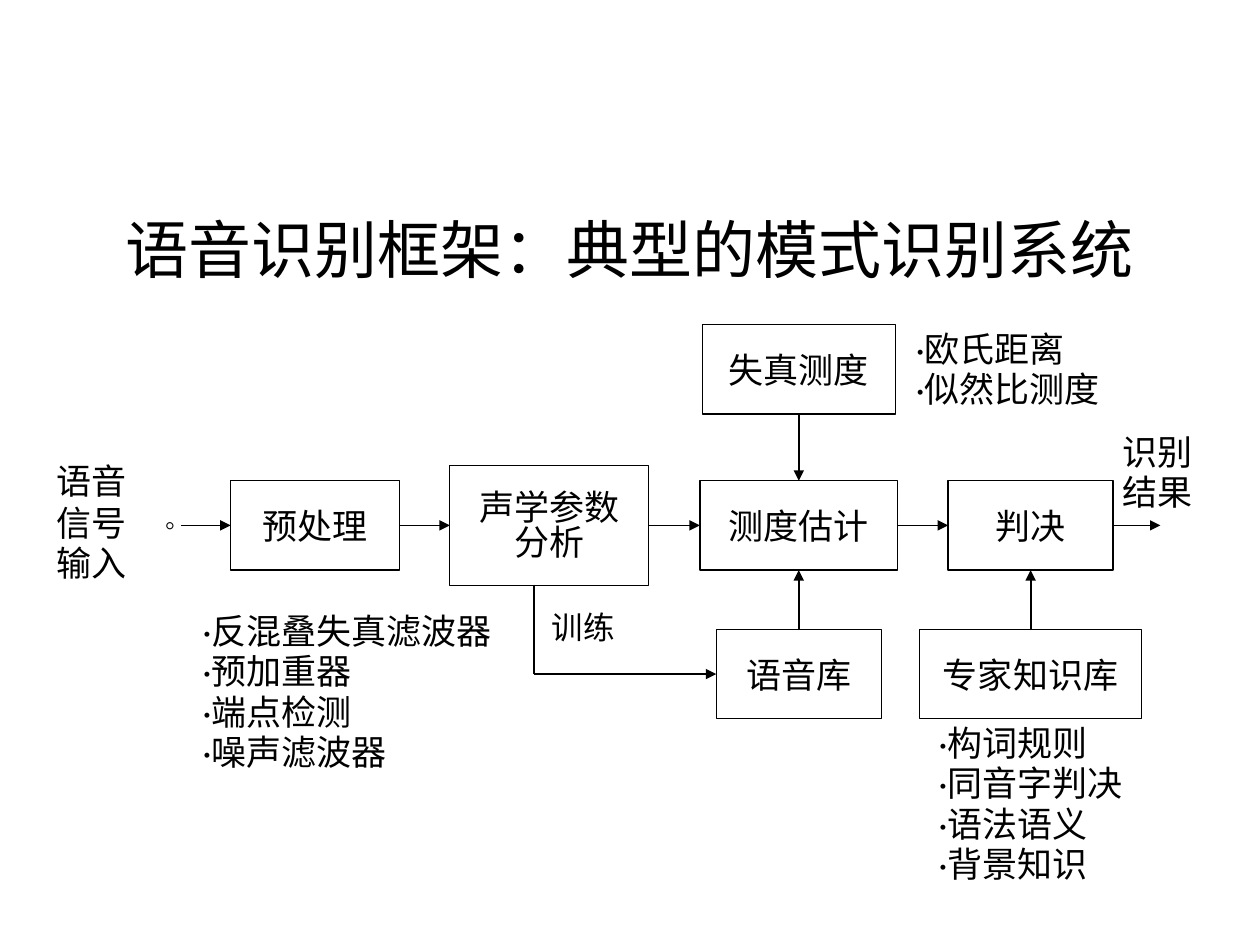
import pptx
import pptx.dml.color
import pptx.enum.shapes
import pptx.enum.text
import pptx.oxml
import pptx.oxml.ns
import pptx.util
from pptx.util import Inches

BLACK = pptx.dml.color.RGBColor(0, 0, 0)
FONT = "Calibri"
ALIGN = pptx.enum.text.PP_ALIGN
ANCHOR = pptx.enum.text.MSO_ANCHOR
TOP, LEFT, BOTTOM, RIGHT = range(4)

# Centres shared by the boxes of a row or column
MAIN_ROW, MEASURE_ROW, STORE_ROW = 4.17, 2.93, 5.35
MEASURE_COLUMN, DECISION_COLUMN = 6.34, 8.18

# name: (lines, centre x, centre y, width, height, line spacings)
BOXES = {
    "preprocess": (["预处理"], 2.5, MAIN_ROW, 1.34, 0.71, [1]),
    "analysis": (["声学参数", "分析"], 4.36, MAIN_ROW, 1.58, 0.95, [0.96, 0.8]),
    "estimate": (["测度估计"], MEASURE_COLUMN, MAIN_ROW, 1.57, 0.71, [1]),
    "distortion": (["失真测度"], MEASURE_COLUMN, MEASURE_ROW, 1.53, 0.71, [1]),
    "speech store": (["语音库"], MEASURE_COLUMN, STORE_ROW, 1.31, 0.71, [1]),
    "decision": (["判决"], DECISION_COLUMN, MAIN_ROW, 1.31, 0.71, [1]),
    "expert store": (["专家知识库"], DECISION_COLUMN, STORE_ROW, 1.76, 0.71, [1]),
}

# (lines, left, top, width, height, size, line spacings)
LABELS = [
    (["·构词规则", "·同音字判决", "·语法语义", "·背景知识"],
     7.35, 5.7, 2.22, 1.52, 20, [0.96] * 4),
    (["·反混叠失真滤波器", "·预加重器", "·端点检测", "·噪声滤波器"],
     1.51, 4.81, 2.8, 1.52, 20, [0.96] * 4),
    (["·欧氏距离", "·似然比测度"], 7.17, 2.57, 2.03, 0.81, 20, [0.96] * 2),
    (["训练"], 4.28, 4.78, 1.01, 0.68, 18, [1]),
    (["识别", "结果"], 8.81, 3.37, 0.93, 0.85, 20, [1, 0.96]),
    (["○"], 1.22, 4.05, 0.45, 0.45, 8, [1]),
    (["语音", "信号", "输入"], 0.35, 3.6, 0.97, 0.95, 20, [1, 1, 0.96]),
]

# Each end is a point or a (box name, side) pair
TRAINING_X, ANALYSIS_BOTTOM = 4.24, 4.64
ARROWS = [
    ((1.44, MAIN_ROW), ("preprocess", LEFT)),
    (("preprocess", RIGHT), ("analysis", LEFT)),
    (("analysis", RIGHT), ("estimate", LEFT)),
    (("estimate", RIGHT), ("decision", LEFT)),
    (("decision", RIGHT), (9.21, MAIN_ROW)),
    (("distortion", BOTTOM), ("estimate", TOP)),
    (("speech store", TOP), ("estimate", BOTTOM)),
    (("expert store", TOP), ("decision", BOTTOM)),
    ((TRAINING_X, STORE_ROW), ("speech store", LEFT)),
]
TRAINING_LINE = ((TRAINING_X, ANALYSIS_BOTTOM), (TRAINING_X, STORE_ROW))


def write_text(shape, lines, size=20, spacings=(1,), align=ALIGN.JUSTIFY,
               anchor=ANCHOR.TOP):
    frame = shape.text_frame
    frame.word_wrap = True
    frame.vertical_anchor = anchor
    for index, (line, spacing) in enumerate(zip(lines, spacings)):
        paragraph = frame.paragraphs[0] if index == 0 else frame.add_paragraph()
        paragraph.alignment = align
        paragraph.line_spacing = spacing
        run = paragraph.add_run()
        run.text = line
        run.font.size = pptx.util.Pt(size)
        run.font.name = FONT
        run.font.color.rgb = BLACK


def add_box(slide, lines, center_x, center_y, width, height, spacings):
    box = slide.shapes.add_shape(
        pptx.enum.shapes.MSO_SHAPE.RECTANGLE,
        Inches(center_x - width / 2), Inches(center_y - height / 2),
        Inches(width), Inches(height))
    box.shadow.inherit = False
    box.fill.background()
    box.line.color.rgb = BLACK
    box.line.width = pptx.util.Pt(0.75)
    write_text(box, lines, spacings=spacings, align=ALIGN.CENTER, anchor=ANCHOR.MIDDLE)
    return box


def add_line(slide, boxes, start, end, arrow=True):
    points = [(0, 0) if point[0] in boxes else point for point in (start, end)]
    line = slide.shapes.add_connector(
        pptx.enum.shapes.MSO_CONNECTOR.STRAIGHT,
        *[Inches(value) for point in points for value in point])
    if start[0] in boxes:
        line.begin_connect(boxes[start[0]], start[1])
    if end[0] in boxes:
        line.end_connect(boxes[end[0]], end[1])
    line.line.color.rgb = BLACK
    line.line.width = pptx.util.Pt(1)
    if arrow:
        head = pptx.oxml.parse_xml(
            f'<a:tailEnd {pptx.oxml.ns.nsdecls("a")} type="triangle"/>')
        line.line._get_or_add_ln().append(head)
    properties = line._element.spPr
    properties.append(pptx.oxml.parse_xml(
        f'<a:effectLst {pptx.oxml.ns.nsdecls("a")}/>'))


def main():
    presentation = pptx.Presentation()
    presentation.slide_width, presentation.slide_height = Inches(10), Inches(7.5)
    slide = presentation.slides.add_slide(presentation.slide_layouts[6])

    # Title
    title = slide.shapes.add_textbox(Inches(0.9), Inches(1.62), Inches(8.35), Inches(1.3))
    write_text(title, ["语音识别框架：典型的模式识别系统"], size=36, align=ALIGN.LEFT)

    # Processing steps and knowledge stores
    boxes = {name: add_box(slide, *box) for name, box in BOXES.items()}

    # Notes and signal labels
    for lines, left, top, width, height, size, spacings in LABELS:
        label = slide.shapes.add_textbox(
            Inches(left), Inches(top), Inches(width), Inches(height))
        write_text(label, lines, size=size, spacings=spacings)

    # Signal flow
    for start, end in ARROWS:
        add_line(slide, boxes, start, end)
    add_line(slide, boxes, *TRAINING_LINE, arrow=False)

    presentation.save("out.pptx")


if __name__ == "__main__":
    main()
